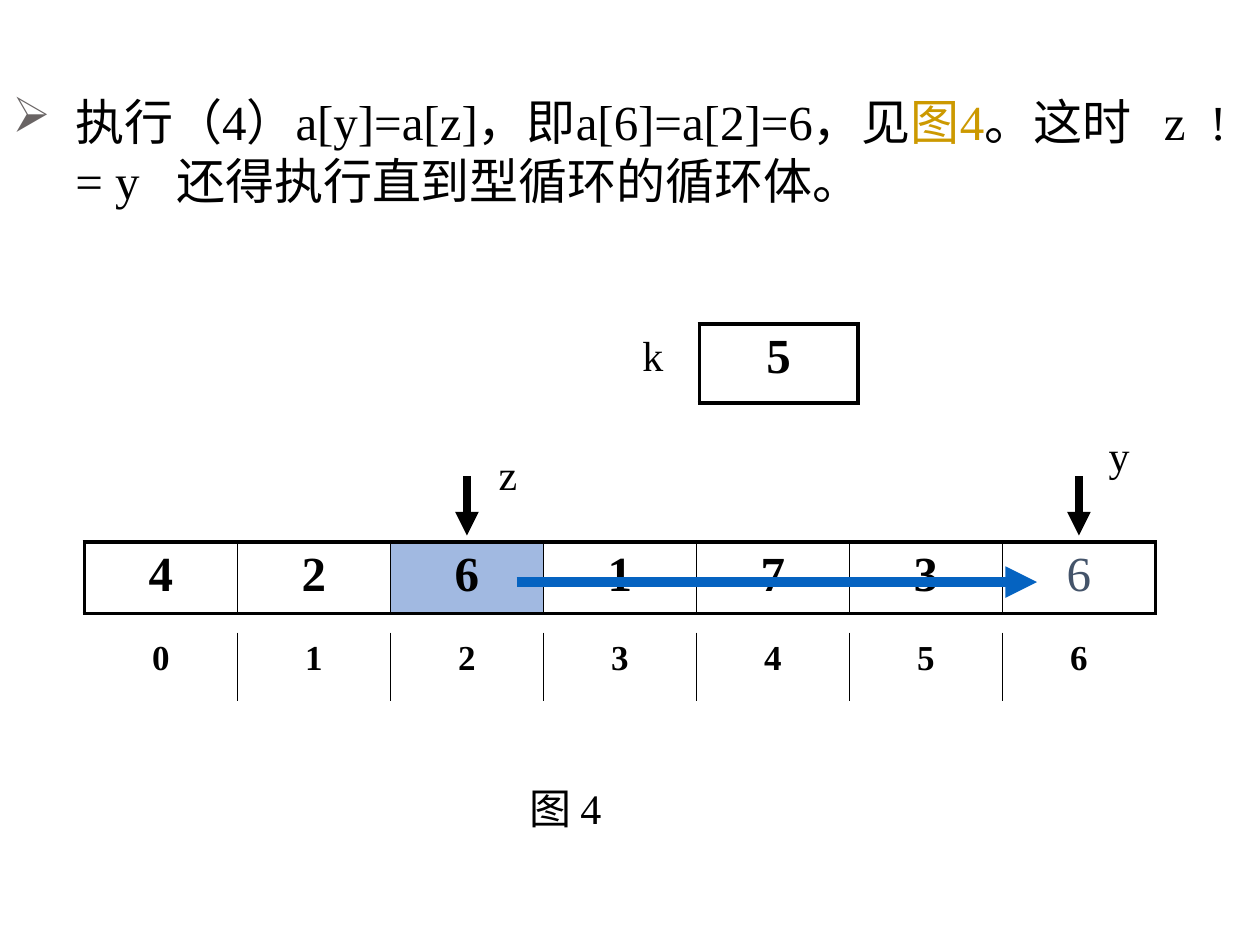
from dataclasses import dataclass

from lxml import etree
from pptx import Presentation
from pptx.dml.color import RGBColor
from pptx.enum.shapes import MSO_CONNECTOR
from pptx.enum.text import PP_ALIGN
from pptx.oxml.ns import qn
from pptx.util import Inches, Pt

STRAIGHT = MSO_CONNECTOR.STRAIGHT
CENTER = PP_ALIGN.CENTER


@dataclass(frozen=True)
class Theme:
    font: str = "Times New Roman"
    black: str = "000000"
    gold: str = "CC9900"
    slate: str = "44546A"
    blue: str = "0563C1"
    light_blue: str = "A1B9E1"
    bullet: str = "696464"
    body: int = 28
    label: int = 24
    index: int = 20
    thin: float = 1
    thick: float = 2.25


def sub(parent, tag, **attrs):
    return etree.SubElement(parent, qn(tag), attrs)


class SlideBuilder:
    def __init__(self, slide, theme):
        self.s = slide
        self.theme = theme

    def style(self, p, size, color=None, bold=False):
        p.font.name = self.theme.font
        p.font.size = Pt(size)
        p.font.bold = bold
        p.font.color.rgb = RGBColor.from_string(color or self.theme.black)

    def text_frame(self, x, y, w, h):
        box = self.s.shapes.add_textbox(Inches(x), Inches(y), Inches(w), Inches(h))
        box.text_frame.word_wrap = True
        return box.text_frame

    def bullet(self, x, y, w, h, runs):
        """Add one bulleted paragraph from (text, color) pairs."""
        p = self.text_frame(x, y, w, h).paragraphs[0]
        self.style(p, self.theme.body)
        for text, color in runs:
            r = p.add_run()
            r.text = text
            r.font.name = self.theme.font
            r.font.size = Pt(self.theme.body)
            r.font.color.rgb = RGBColor.from_string(color)
        pPr = p._p.get_or_add_pPr()
        pPr.set("marL", str(Inches(0.5)))
        pPr.set("indent", str(Inches(-0.5)))
        bullet_color = etree.Element(qn("a:buClr"))
        sub(bullet_color, "a:srgbClr", val=self.theme.bullet)
        bullet_char = etree.Element(qn("a:buChar"), char="➢")
        pPr.insert(0, bullet_color)
        pPr.insert(1, bullet_char)

    def label(self, text, x, y, w=0.43):
        p = self.text_frame(x, y, w, 0.5).paragraphs[0]
        p.text = text
        p.space_before = Pt(2.4)
        self.style(p, self.theme.label)

    def arrow(self, x1, y1, x2, y2, color, width):
        line = self.s.shapes.add_connector(
            STRAIGHT, Inches(x1), Inches(y1), Inches(x2), Inches(y2))
        line.line.color.rgb = RGBColor.from_string(color)
        line.line.width = Pt(width)
        sub(line.line._get_or_add_ln(), "a:tailEnd", type="triangle")
        sub(line._element.spPr, "a:effectLst")

    def border(self, cell, side, width):
        """Draw one cell side (L, R, T or B); width 0 hides it."""
        tcPr = cell._tc.get_or_add_tcPr()
        ln = sub(tcPr, f"a:ln{side}", w=str(Pt(width)))
        if width:
            sub(sub(ln, "a:solidFill"), "a:srgbClr", val=self.theme.black)
        else:
            sub(ln, "a:noFill")

    def row(self, values, x, y, w, h, size, outer, special=None):
        """Add a one-row table; special maps a column to its fill or font look."""
        n = len(values)
        frame = self.s.shapes.add_table(
            1, n, Inches(x), Inches(y), Inches(w), Inches(h))
        table = frame.table
        table.first_row = table.horz_banding = False
        for i, value in enumerate(values):
            look = (special or {}).get(i, {})
            table.columns[i].width = Inches(w / n)
            cell = table.cell(0, i)
            p = cell.text_frame.paragraphs[0]
            p.text = value
            p.alignment = CENTER
            self.style(p, size, look.get("color"), look.get("bold", True))
            self.border(cell, "L", outer if i == 0 else self.theme.thin)
            self.border(cell, "R", outer if i == n - 1 else self.theme.thin)
            self.border(cell, "T", outer)
            self.border(cell, "B", outer)
            if "fill" in look:
                cell.fill.solid()
                cell.fill.fore_color.rgb = RGBColor.from_string(look["fill"])
            else:
                cell.fill.background()


def main():
    prs = Presentation()
    prs.slide_width, prs.slide_height = Inches(10), Inches(7.5)
    theme = Theme()
    b = SlideBuilder(prs.slides.add_slide(prs.slide_layouts[6]), theme)

    b.bullet(0, 0.68, 10, 1.03, [
        ("执行（4）a[y]=a[z]，即a[6]=a[2]=6，见", theme.black),
        ("图4", theme.gold),
        ("。这时   z  != y   还得执行直到型循环的循环体。", theme.black),
    ])

    z, y = 2, 6
    array_x, array_w = 0.67, 8.5
    b.row("4261736", array_x, 4.3, array_w, 0.57, theme.body, theme.thick, {
        z: {"fill": theme.light_blue},
        y: {"color": theme.slate, "bold": False},
    })
    b.row("0123456", array_x, 5.02, array_w, 0.54, theme.index, 0)

    b.label("z", 3.86, 3.51)
    b.label("y", 8.7, 3.36)
    for column in (z, y):
        x = array_x + array_w / 7 * (column + 0.5)
        b.arrow(x, 3.78, x, 4.25, theme.black, 4.5)

    b.label("图 4", 4.1, 6.16, 1.22)
    b.row("5", 5.55, 2.57, 1.26, 0.63, theme.body, theme.thick)
    b.label("k", 5, 2.57, 0.87)
    b.arrow(4.1, 4.62, 8.23, 4.62, theme.blue, 6)

    prs.save("out.pptx")


if __name__ == "__main__":
    main()
